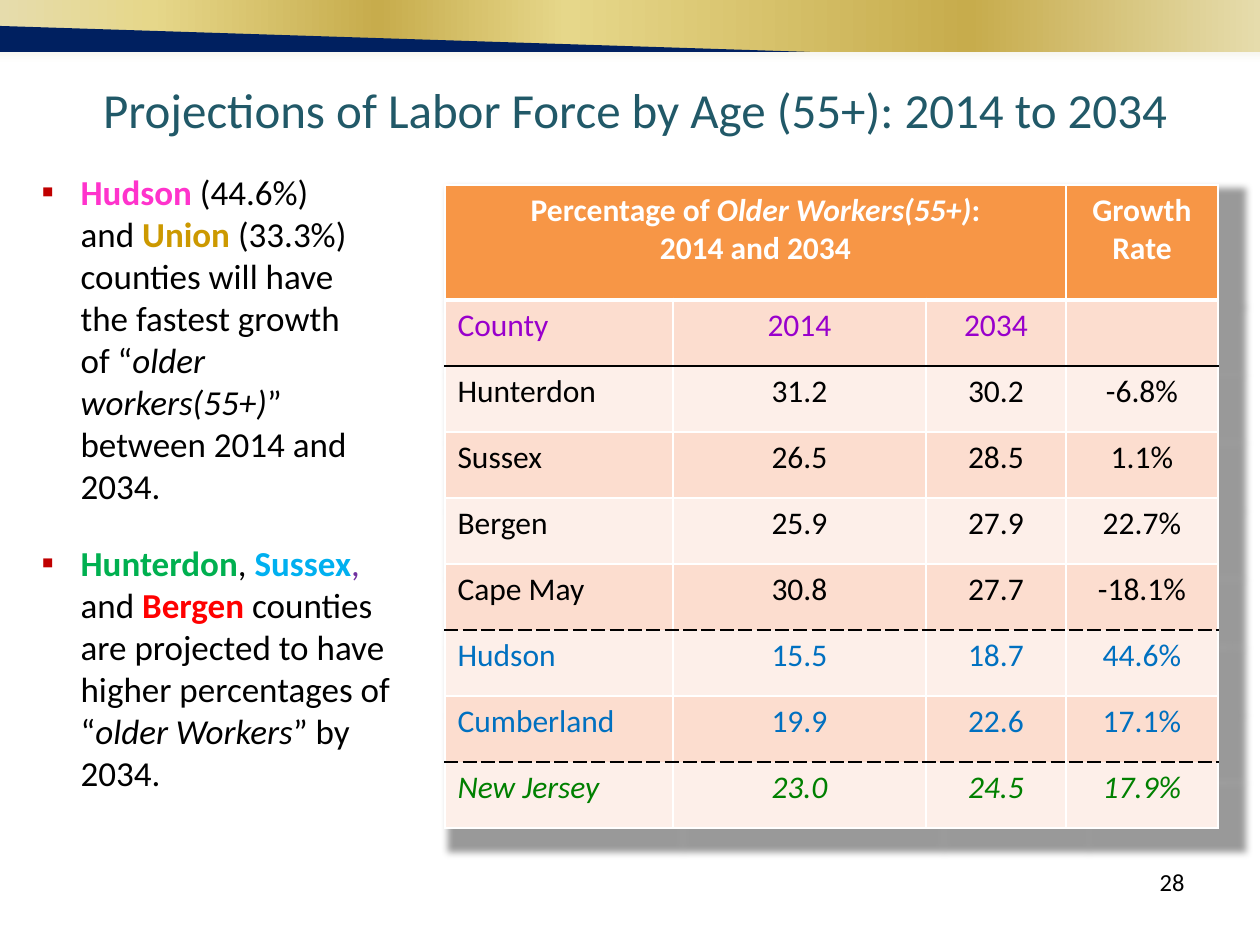
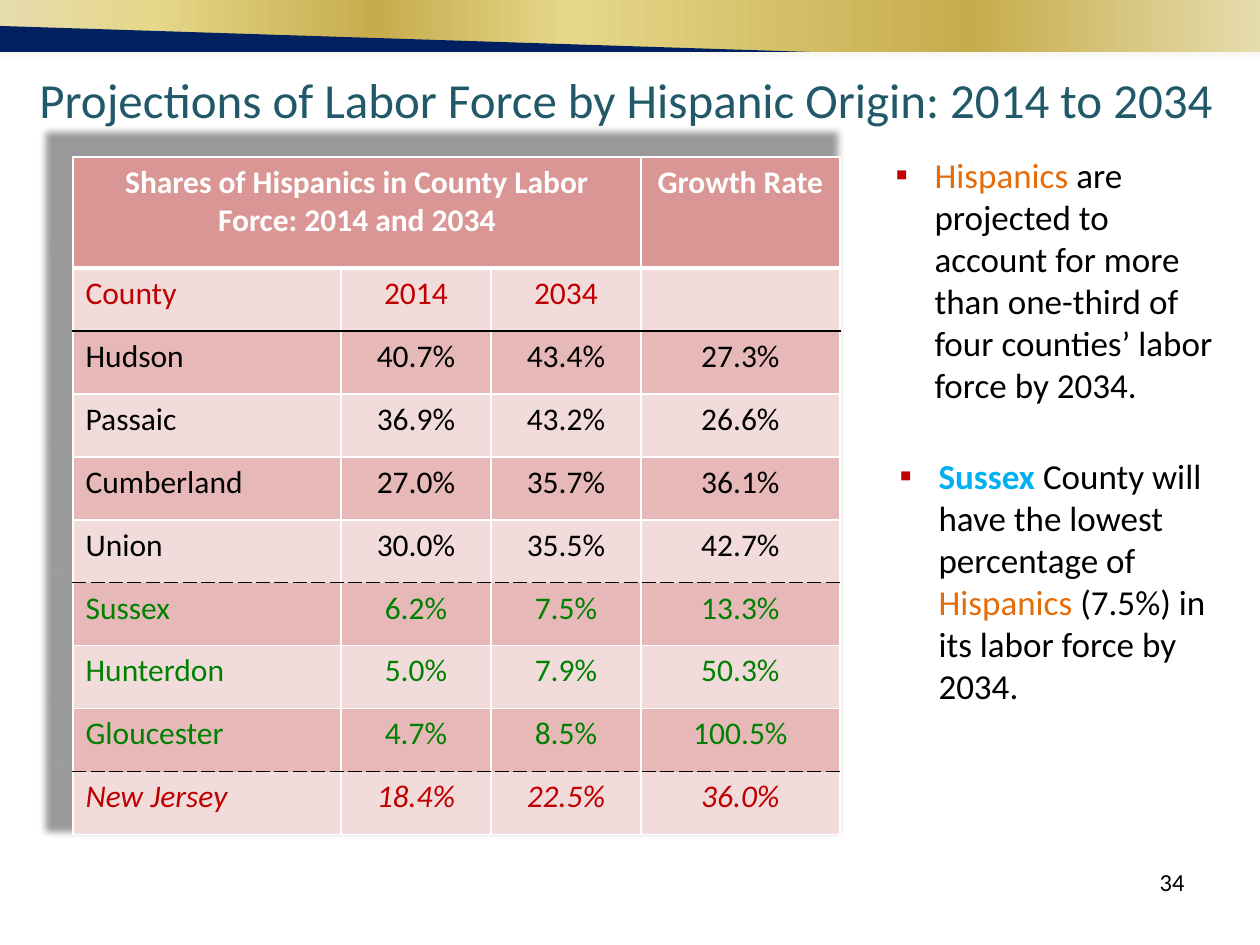
"""Build two slides on labor force projections, each with a county table and two remarks."""
from pptx import Presentation
from pptx.dml.color import RGBColor
from pptx.enum.shapes import MSO_SHAPE
from pptx.enum.text import MSO_ANCHOR, MSO_AUTO_SIZE, PP_ALIGN
from pptx.oxml import parse_xml
from pptx.util import Pt

PX = 7257
RECTANGLE = MSO_SHAPE.RECTANGLE
TOP = MSO_ANCHOR.TOP
NO_AUTOFIT = MSO_AUTO_SIZE.NONE
LEFT, CENTER, RIGHT = PP_ALIGN.LEFT, PP_ALIGN.CENTER, PP_ALIGN.RIGHT
NS = 'xmlns:a="http://schemas.openxmlformats.org/drawingml/2006/main"'
FONT = "Calibri"
BLACK, WHITE, NAVY, TEAL, DARK_RED = "000000", "FFFFFF", "002060", "215968", "C00000"
GREEN, BLUE, SKY, ORANGE = "008000", "0070C0", "00B0F0", "E46C0A"
GOLD_STOPS = [(0, "E6DCAC"), (12, "E6D78A"), (30, "C7AC4C"),
              (45, "E6D78A"), (77, "C7AC4C"), (100, "E6DCAC")]
SHADE_STOPS = [(0, "EEECE1"), (100, WHITE)]
THIN, THICK = (WHITE, 1, "solid"), (WHITE, 3, "solid")
SOLID, DASHED = (BLACK, 1, "solid"), (BLACK, 1, "sysDash")


def rgb(value):
    """Turn a hex string into a colour."""
    return RGBColor.from_string(value)


def write(paragraph, text, size=20, color=BLACK, bold=False, italic=False):
    """Add a formatted run to a paragraph."""
    run = paragraph.add_run()
    run.text = text
    run.font.name = FONT
    run.font.size = Pt(size)
    run.font.color.rgb = rgb(color)
    run.font.bold = bold
    run.font.italic = italic


CONTENTS = [
    {
        "number": "28",
        "title": "Projections of Labor Force by Age (55+): 2014 to 2034",
        "title_box": (73, 73, 1124, 72),
        "remarks": [
            ((29, 164, 339, 352), [
                ("Hudson ", {"color": "FF33CC", "bold": True}),
                ("(44.6%) and ", {}),
                ("Union", {"color": "CC9900", "bold": True}),
                (" (33.3%) counties will have the fastest growth of “", {}),
                ("older workers(55+)", {"italic": True}),
                ("” between 2014 and 2034.", {})]),
            ((29, 535, 378, 267), [
                ("Hunterdon", {"color": "00B050", "bold": True}),
                (", ", {}),
                ("Sussex", {"color": SKY, "bold": True}),
                (", ", {"color": "7030A0"}),
                ("and ", {}),
                ("Bergen ", {"color": "FF0000", "bold": True}),
                ("counties are projected to have higher percentages of “", {}),
                ("older Workers", {"italic": True}),
                ("” by 2034.", {})]),
        ],
        "table_at": (445, 185),
        "columns": (228, 253, 140, 152),
        "header_height": 115,
        "row_height": 66,
        "header_fill": "F79646",
        "band_fills": ("FCDDCF", "FDEFE9"),
        "shadow": ("tl", 2700000),
        "heading": [[("Percentage of ", {}), ("Older Workers(55+)", {"italic": True}), (":", {})],
                    [("2014 and 2034", {})]],
        "groups": [
            ("9900CC", False, SOLID, [("County", "2014", "2034", "")]),
            (BLACK, False, DASHED, [("Hunterdon", "31.2", "30.2", "-6.8%"),
                                    ("Sussex", "26.5", "28.5", "1.1%"),
                                    ("Bergen", "25.9", "27.9", "22.7%"),
                                    ("Cape May", "30.8", "27.7", "-18.1%")]),
            (BLUE, False, DASHED, [("Hudson", "15.5", "18.7", "44.6%"),
                                   ("Cumberland", "19.9", "22.6", "17.1%")]),
            (GREEN, True, THIN, [("New Jersey", "23.0", "24.5", "17.9%")]),
        ],
    },
    {
        "number": "34",
        "title": "Projections of Labor Force by Hispanic Origin: 2014 to 2034",
        "title_box": (21, 63, 1210, 72),
        "remarks": [
            ((883, 147, 357, 267), [
                ("Hispanics", {"color": ORANGE}),
                (" are projected to account for more than one-third of four counties’ "
                 "labor force by 2034.", {})]),
            ((887, 448, 336, 267), [
                ("Sussex", {"color": SKY, "bold": True}),
                (" County will have the lowest percentage of ", {}),
                ("Hispanics", {"color": ORANGE}),
                (" (7.5%) in its labor force by 2034.", {})]),
        ],
        "table_at": (73, 157),
        "columns": (268, 150, 150, 199),
        "header_height": 111,
        "row_height": 63,
        "header_fill": "D99694",
        "band_fills": ("F2DCDB", "E6B9B8"),
        "shadow": ("br", 13500000),
        "heading": [[("Shares of Hispanics in County Labor Force: 2014 and 2034", {})]],
        "groups": [
            (DARK_RED, False, SOLID, [("County", "2014", "2034", "")]),
            (BLACK, False, DASHED, [("Hudson", "40.7%", "43.4%", "27.3%"),
                                    ("Passaic", "36.9%", "43.2%", "26.6%"),
                                    ("Cumberland", "27.0%", "35.7%", "36.1%"),
                                    ("Union", "30.0%", "35.5%", "42.7%")]),
            (GREEN, False, DASHED, [("Sussex", "6.2%", "7.5%", "13.3%"),
                                    ("Hunterdon", "5.0%", "7.9%", "50.3%"),
                                    ("Gloucester", "4.7%", "8.5%", "100.5%")]),
            (DARK_RED, True, THIN, [("New Jersey", "18.4%", "22.5%", "36.0%")]),
        ],
    },
]

presentation = Presentation()
presentation.slide_width, presentation.slide_height = 1260 * PX, 945 * PX
layout = presentation.slide_layouts[3]
slides = [presentation.slides.add_slide(layout) for content in CONTENTS]

shapes = slides[0].shapes
bands = []
for top, height, angle, stops in [(42, 21, 270, SHADE_STOPS), (0, 52, 0, GOLD_STOPS)]:
    band = shapes.add_shape(RECTANGLE, 0, top * PX, 1260 * PX, height * PX)
    band.fill.gradient()
    band.fill.gradient_angle = angle
    stop_list = band.element.spPr.find(".//{*}gsLst")
    stop_list.clear()
    for position, color in stops:
        stop_list.append(parse_xml(
            f'<a:gs {NS} pos="{position * 1000}"><a:srgbClr val="{color}"/></a:gs>'))
    bands.append(band)
builder = shapes.build_freeform(24, 52, scale=PX)
builder.add_line_segments([(810, 52), (0, 26), (0, 52)])
wedge = builder.convert_to_shape()
wedge.fill.solid()
wedge.fill.fore_color.rgb = rgb(NAVY)
bands.append(wedge)
for shape_id, band in enumerate(bands, 20):
    band.line.fill.background()
    band.shadow.inherit = False
    band.element.nvSpPr.cNvPr.id = shape_id
    layout.shapes.element.append(band.element)

for slide, content in zip(slides, CONTENTS):
    texts = [(slide.shapes.title, content["title_box"])]
    for index, (box, runs) in enumerate(content["remarks"], 1):
        texts.append((slide.placeholders[index], box))
    texts.append((slide.shapes.add_textbox(0, 0, PX, PX), (903, 861, 294, 66)))
    for shape, box in texts:
        shape.left, shape.top, shape.width, shape.height = [length * PX for length in box]
        shape.text_frame.word_wrap = True
        shape.text_frame.auto_size = NO_AUTOFIT
        shape.text_frame.vertical_anchor = TOP

    title, number = texts[0][0], texts[-1][0]
    paragraph = title.text_frame.paragraphs[0]
    paragraph.alignment = CENTER
    write(paragraph, content["title"], size=28, color=TEAL)
    paragraph = number.text_frame.paragraphs[0]
    paragraph.alignment = RIGHT
    write(paragraph, content["number"], size=14)

    for index, (box, runs) in enumerate(content["remarks"], 1):
        paragraph = slide.placeholders[index].text_frame.paragraphs[0]
        paragraph.space_before = Pt(0)
        properties = paragraph._p.get_or_add_pPr()
        properties.set("marL", str(39 * PX))
        properties.set("indent", str(-39 * PX))
        for bullet in (f'<a:buClr {NS}><a:srgbClr val="{DARK_RED}"/></a:buClr>',
                       f'<a:buFont {NS} typeface="{FONT}"/>',
                       f'<a:buChar {NS} char="▪"/>'):
            properties.append(parse_xml(bullet))
        for text, style in runs:
            write(paragraph, text, **style)

    rows = [(color, italic, values)
            for color, italic, rule, group in content["groups"] for values in group]
    rules = [THIN, THICK]
    for color, italic, rule, group in content["groups"]:
        rules += [THIN] * (len(group) - 1) + [rule]
    left, top = content["table_at"]
    columns = content["columns"]
    height = content["header_height"] + content["row_height"] * len(rows)
    frame = slide.shapes.add_table(len(rows) + 1, len(columns), left * PX, top * PX,
                                   sum(columns) * PX, height * PX)
    slide.shapes.element.insert(2, frame.element)
    table = frame.table
    table.horz_banding = False
    align, direction = content["shadow"]
    table._tbl.tblPr.insert(0, parse_xml(
        f'<a:effectLst {NS}><a:outerShdw blurRad="50800" dist="38100" dir="{direction}" '
        f'sx="103000" sy="103000" algn="{align}" rotWithShape="0"><a:srgbClr val="{BLACK}">'
        '<a:alpha val="40000"/></a:srgbClr></a:outerShdw></a:effectLst>'))
    for column, width in zip(table.columns, columns):
        column.width = width * PX
    for index, row in enumerate(table.rows):
        row.height = (content["row_height"] if index else content["header_height"]) * PX
        fill = content["band_fills"][(index - 1) % 2] if index else content["header_fill"]
        for cell in row.cells:
            cell.fill.solid()
            cell.fill.fore_color.rgb = rgb(fill)
            edges = [("L", THIN), ("R", THIN), ("T", rules[index]), ("B", rules[index + 1])]
            for place, (side, (color, width, dash)) in enumerate(edges):
                cell._tc.tcPr.insert(place, parse_xml(
                    f'<a:ln{side} {NS} w="{Pt(width)}"><a:solidFill><a:srgbClr val="{color}"/>'
                    f'</a:solidFill><a:prstDash val="{dash}"/></a:ln{side}>'))

    table.cell(0, 0).merge(table.cell(0, 2))
    headings = [(0, content["heading"]), (3, [[("Growth Rate", {})]])]
    for column, lines in headings:
        text_frame = table.cell(0, column).text_frame
        for index, runs in enumerate(lines):
            paragraph = text_frame.add_paragraph() if index else text_frame.paragraphs[0]
            paragraph.alignment = CENTER
            for text, style in runs:
                write(paragraph, text, size=18, color=WHITE, bold=True, **style)
    for index, (color, italic, values) in enumerate(rows, 1):
        for column, value in enumerate(values):
            if value:
                paragraph = table.cell(index, column).text_frame.paragraphs[0]
                paragraph.alignment = CENTER if column else LEFT
                write(paragraph, value, size=18, color=color, italic=italic)

presentation.save("out.pptx")
